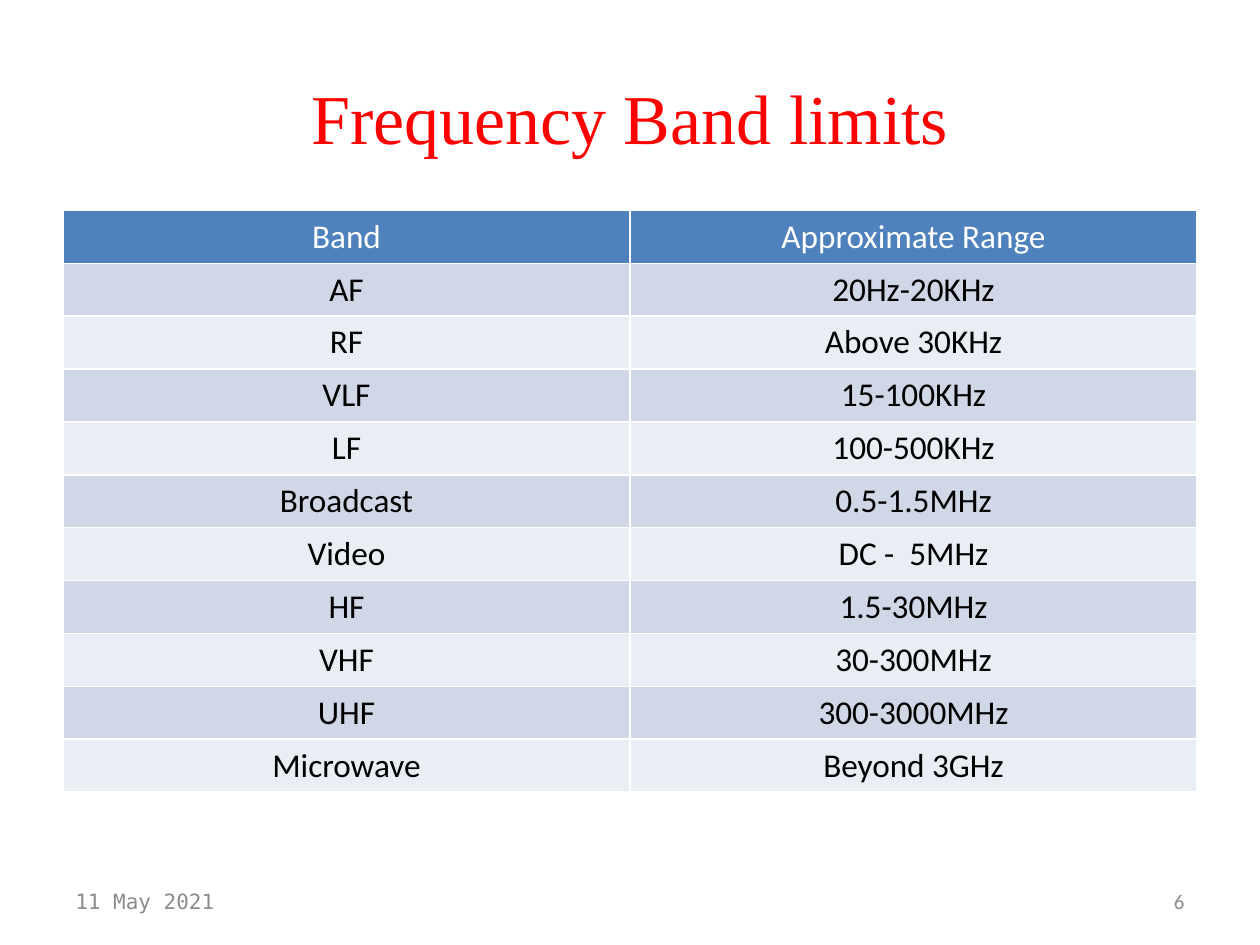
import dataclasses

import pptx
import pptx.dml.color
import pptx.enum.text
import pptx.oxml.ns
import pptx.util
from lxml import etree

Inches = pptx.util.Inches
Pt = pptx.util.Pt
RGB = pptx.dml.color.RGBColor.from_string
ALIGN = pptx.enum.text.PP_ALIGN
qn = pptx.oxml.ns.qn


@dataclasses.dataclass(frozen=True)
class Theme:
    title: str = "FF0000"
    header: str = "4F81BD"
    bands: tuple = ("D0D8E8", "E9EDF4")
    border: str = "FFFFFF"
    header_text: str = "FFFFFF"
    body_text: str = "000000"
    footer: str = "8C8C8C"
    title_size: int = 40
    table_size: int = 19
    footer_size: int = 12
    border_width: int = 1
    serif: str = "Times New Roman"
    sans: str = "Calibri"
    mono: str = "DejaVu Sans Mono"


THEME = Theme()

BANDS = [
    ("Band", "Approximate Range"),
    ("AF", "20Hz-20KHz"),
    ("RF", "Above 30KHz"),
    ("VLF", "15-100KHz"),
    ("LF", "100-500KHz"),
    ("Broadcast", "0.5-1.5MHz"),
    ("Video", "DC -  5MHz"),
    ("HF", "1.5-30MHz"),
    ("VHF", "30-300MHz"),
    ("UHF", "300-3000MHz"),
    ("Microwave", "Beyond 3GHz"),
]


def write(tf, text, font, size, color, align):
    p = tf.paragraphs[0]
    p.alignment = align
    r = p.add_run()
    r.text = text
    for name, value in {"name": font, "size": Pt(size)}.items():
        setattr(r.font, name, value)
    r.font.color.rgb = RGB(color)


def add_text(s, box, *text_format):
    sp = s.shapes.add_textbox(*map(Inches, box))
    tf = sp.text_frame
    layout = {"word_wrap": True,
              "vertical_anchor": pptx.enum.text.MSO_ANCHOR.MIDDLE}
    for name, value in layout.items():
        setattr(tf, name, value)
    write(tf, *text_format)


def set_borders(cell):
    tc_pr = cell._tc.get_or_add_tcPr()
    for side in ("a:lnL", "a:lnR", "a:lnT", "a:lnB"):
        ln = etree.SubElement(tc_pr, qn(side), w=str(Pt(THEME.border_width)))
        fill = etree.SubElement(ln, qn("a:solidFill"))
        etree.SubElement(fill, qn("a:srgbClr"), val=THEME.border)


def add_title(s, box):
    add_text(s, box, "Frequency Band limits", THEME.serif, THEME.title_size,
             THEME.title, ALIGN.CENTER)


def add_band_table(s, box):
    frame = s.shapes.add_table(len(BANDS), len(BANDS[0]), *map(Inches, box))
    for i, row in enumerate(BANDS):
        fill = THEME.bands[(i - 1) % 2] if i else THEME.header
        color = THEME.body_text if i else THEME.header_text
        for j, text in enumerate(row):
            cell = frame.table.cell(i, j)
            set_borders(cell)
            cell.fill.solid()
            cell.fill.fore_color.rgb = RGB(fill)
            write(cell.text_frame, text, THEME.sans, THEME.table_size, color,
                  ALIGN.CENTER)


def add_footer(s, box):
    left, top, width, height = box
    part = 2.33
    # Date at the left edge, slide number at the right edge
    add_text(s, (left, top, part, height), "11 May 2021", THEME.mono,
             THEME.footer_size, THEME.footer, ALIGN.LEFT)
    add_text(s, (left + width - part, top, part, height), "6", THEME.sans,
             THEME.footer_size, THEME.footer, ALIGN.RIGHT)


def main():
    prs = pptx.Presentation()
    prs.slide_width, prs.slide_height = Inches(10), Inches(7.5)
    s = prs.slides.add_slide(prs.slide_layouts[6])
    left, width = 0.5, 9
    add_title(s, (left, 0.3, width, 1.25))
    add_band_table(s, (left, 1.67, width, 0.42 * len(BANDS)))
    add_footer(s, (left, 6.95, width, 0.4))
    prs.save("out.pptx")


if __name__ == "__main__":
    main()
